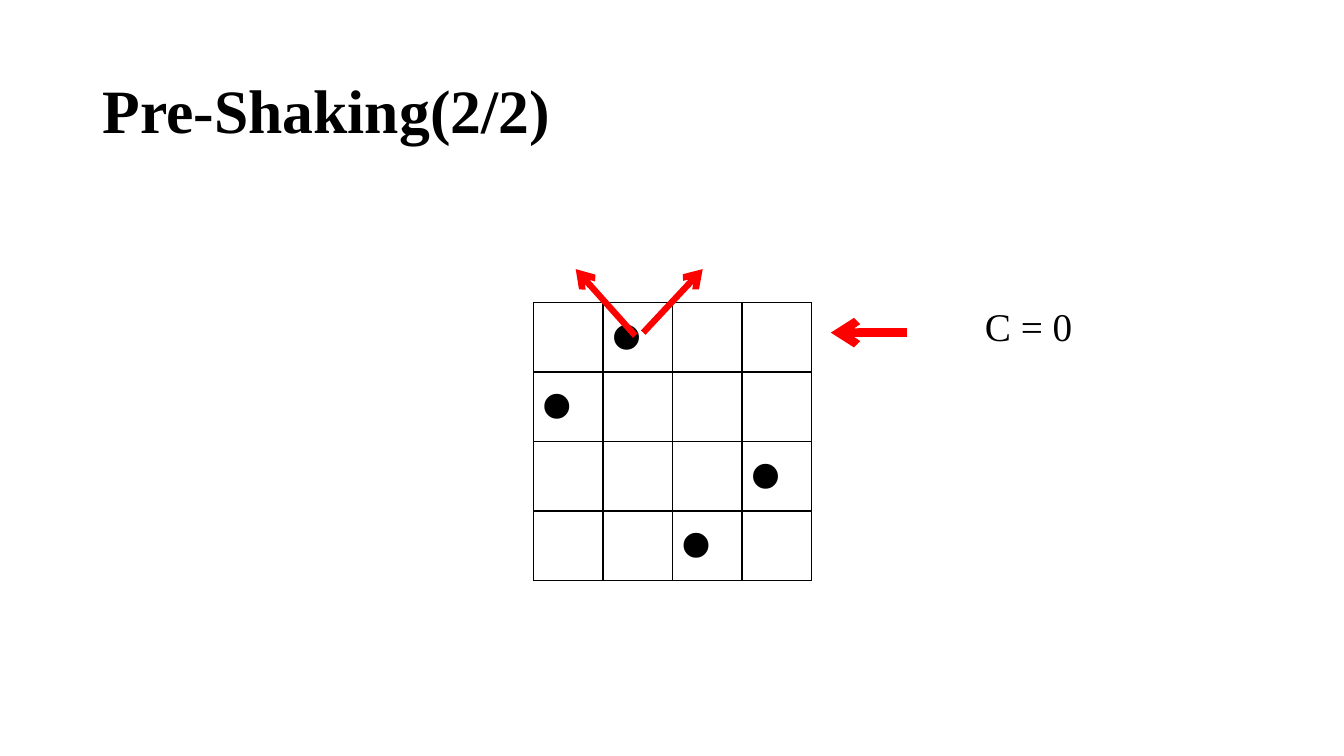
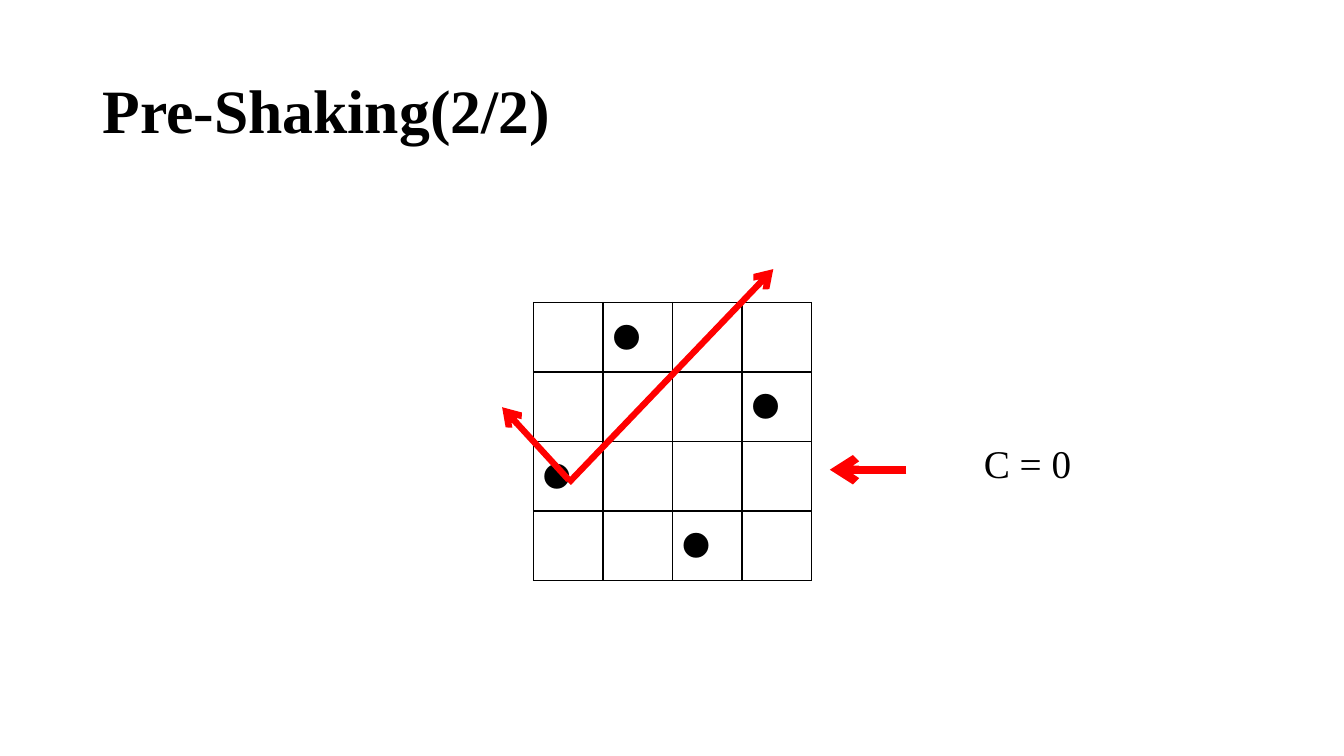
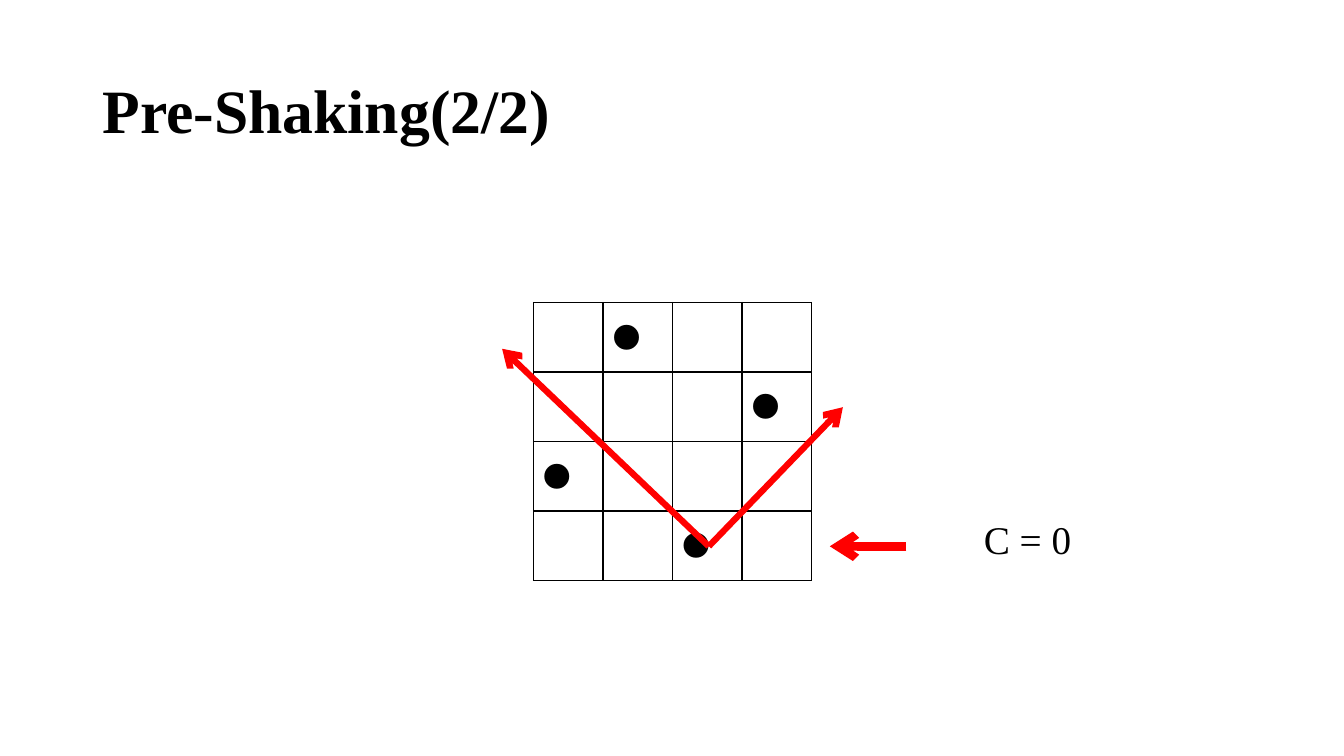
from dataclasses import dataclass

from lxml import etree
from pptx import Presentation
from pptx.dml.color import RGBColor
from pptx.enum.shapes import MSO_CONNECTOR
from pptx.enum.text import MSO_ANCHOR
from pptx.oxml.ns import qn
from pptx.util import Inches, Pt

STRAIGHT = MSO_CONNECTOR.STRAIGHT
TOP, MIDDLE = MSO_ANCHOR.TOP, MSO_ANCHOR.MIDDLE


@dataclass(frozen=True)
class Theme:
    ink: RGBColor = RGBColor(0, 0, 0)
    red: RGBColor = RGBColor(255, 0, 0)
    title: tuple = (("name", "Times New Roman"), ("size", Pt(44)), ("bold", True))
    label: tuple = (("name", "Times New Roman"), ("size", Pt(28)))
    queen: tuple = (("name", "Calibri"), ("size", Pt(32)))
    thin: float = 4.5
    thick: float = 6
    border: int = 12700


THEME = Theme()
SIDE = 4
CELL = 0.69
BOARD = (5.29, 3)

# Queen column of each row, tip of the row pointer, and attack rays (start, tip).
STEPS = [
    ([1, 0, 3, 2], (8.24, 3.3),
     [((6.38, 3.3), (6.97, 2.67)), ((6.3, 3.33), (5.71, 2.67))]),
    ([1, 3, 0, 2], (8.23, 4.66),
     [((5.64, 4.79), (7.67, 2.67)), ((5.64, 4.76), (4.98, 4.04))]),
    ([1, 3, 0, 2], (8.23, 5.42),
     [((7.03, 5.42), (8.36, 4.04)), ((7.03, 5.42), (4.98, 3.46))]),
]


def style(run, look):
    for name, value in look:
        setattr(run.font, name, value)
    run.font.color.rgb = THEME.ink


def add_text(slide, text, box, look, anchor=TOP):
    frame = slide.shapes.add_textbox(*map(Inches, box)).text_frame
    frame.word_wrap = True
    frame.vertical_anchor = anchor
    para = frame.paragraphs[0]
    para.line_spacing = 0.9
    run = para.add_run()
    run.text = text
    style(run, look)


def add_arrow(slide, start, tip, width):
    arrow = slide.shapes.add_connector(STRAIGHT, *map(Inches, start + tip))
    arrow.line.color.rgb = THEME.red
    arrow.line.width = Pt(width)
    props = arrow.element.spPr
    etree.SubElement(props.find(qn("a:ln")), qn("a:tailEnd"), type="arrow")
    etree.SubElement(props, qn("a:effectLst"))


def frame_cell(cell):
    """Clear the fill and draw a border on all four sides."""
    cell.fill.background()
    props = cell._tc.get_or_add_tcPr()
    for place, side in enumerate("LRTB"):
        edge = etree.Element(qn(f"a:ln{side}"), w=str(THEME.border))
        fill = etree.SubElement(edge, qn("a:solidFill"))
        etree.SubElement(fill, qn("a:srgbClr"), val=str(THEME.ink))
        props.insert(place, edge)


def add_board(slide, queens):
    size = Inches(SIDE * CELL)
    board = slide.shapes.add_table(SIDE, SIDE, *map(Inches, BOARD), size, size).table
    board.first_row = board.horz_banding = False
    for band in board.columns:
        band.width = Inches(CELL)
    for band in board.rows:
        band.height = Inches(CELL)
    for cell in board.iter_cells():
        frame_cell(cell)
    for row, col in enumerate(queens):
        run = board.cell(row, col).text_frame.paragraphs[0].add_run()
        run.text = "⚫"
        style(run, THEME.queen)


def add_count(slide, tip):
    """Point at the current row and show its conflict count."""
    x, y = tip
    add_arrow(slide, (x + 0.76, y), tip, THEME.thick)
    add_text(slide, "C = 0", (x + 1.43, y - 0.3, 1.46, 0.63), THEME.label)


def add_step(deck, queens, tip, rays):
    slide = deck.slides.add_slide(deck.slide_layouts[6])
    add_board(slide, queens)
    add_text(slide, "Pre-Shaking(2/2)", (0.92, 0.4, 11.5, 1.45), THEME.title, MIDDLE)
    add_count(slide, tip)
    for start, end in rays:
        add_arrow(slide, start, end, THEME.thin)


def main():
    deck = Presentation()
    deck.slide_width, deck.slide_height = Inches(13.33), Inches(7.5)
    for step in STEPS:
        add_step(deck, *step)
    deck.save("out.pptx")


if __name__ == "__main__":
    main()
